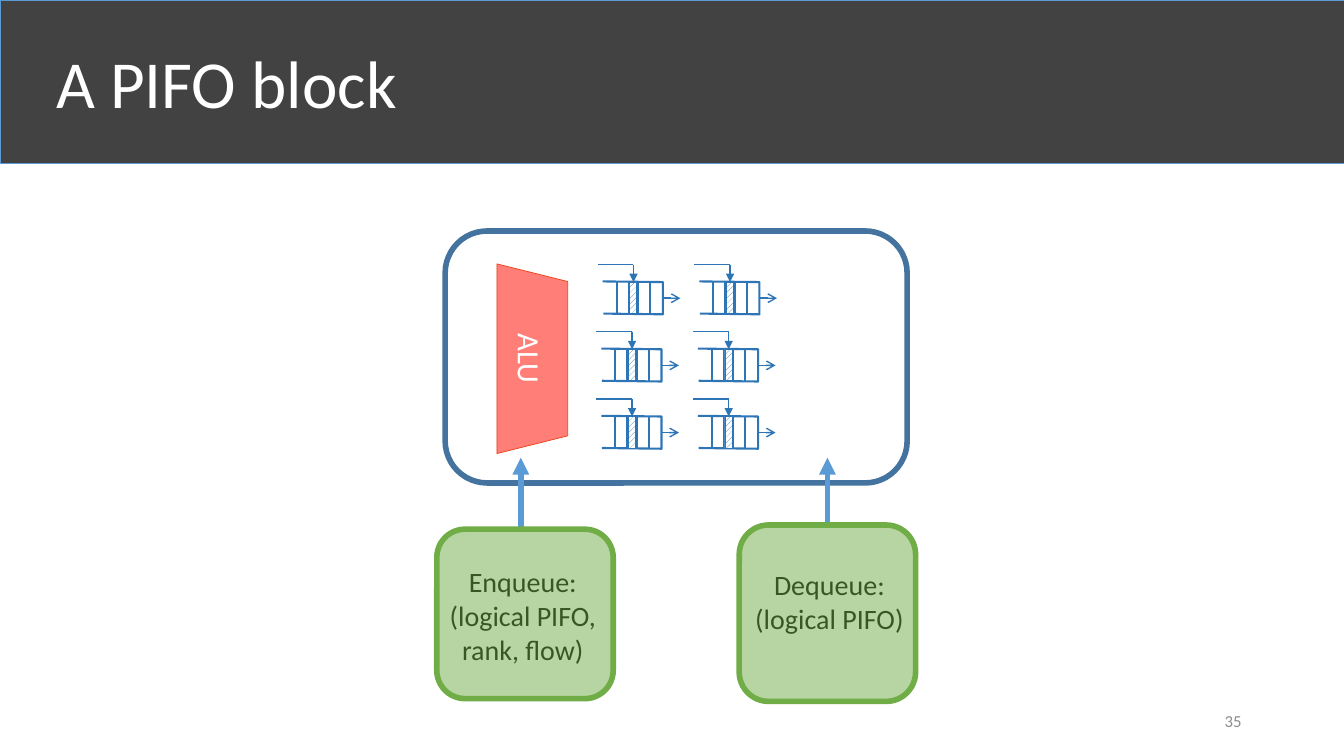
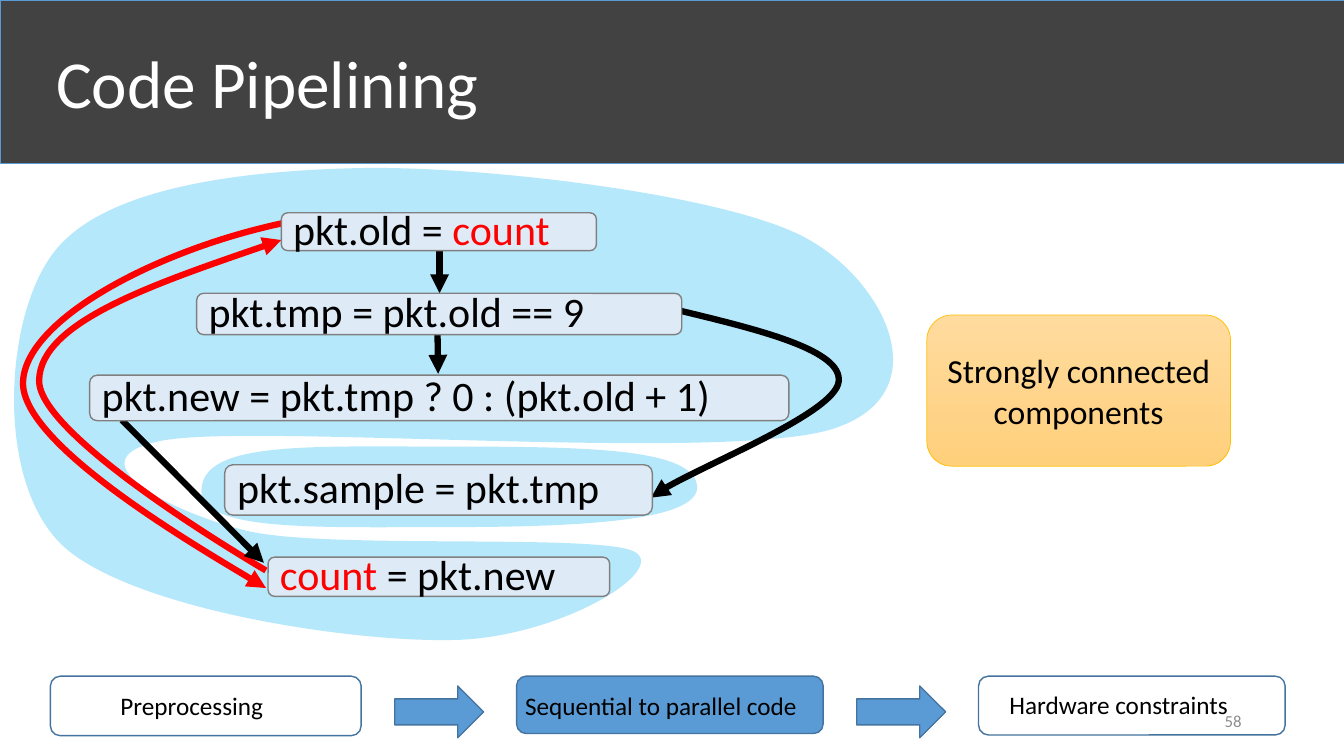
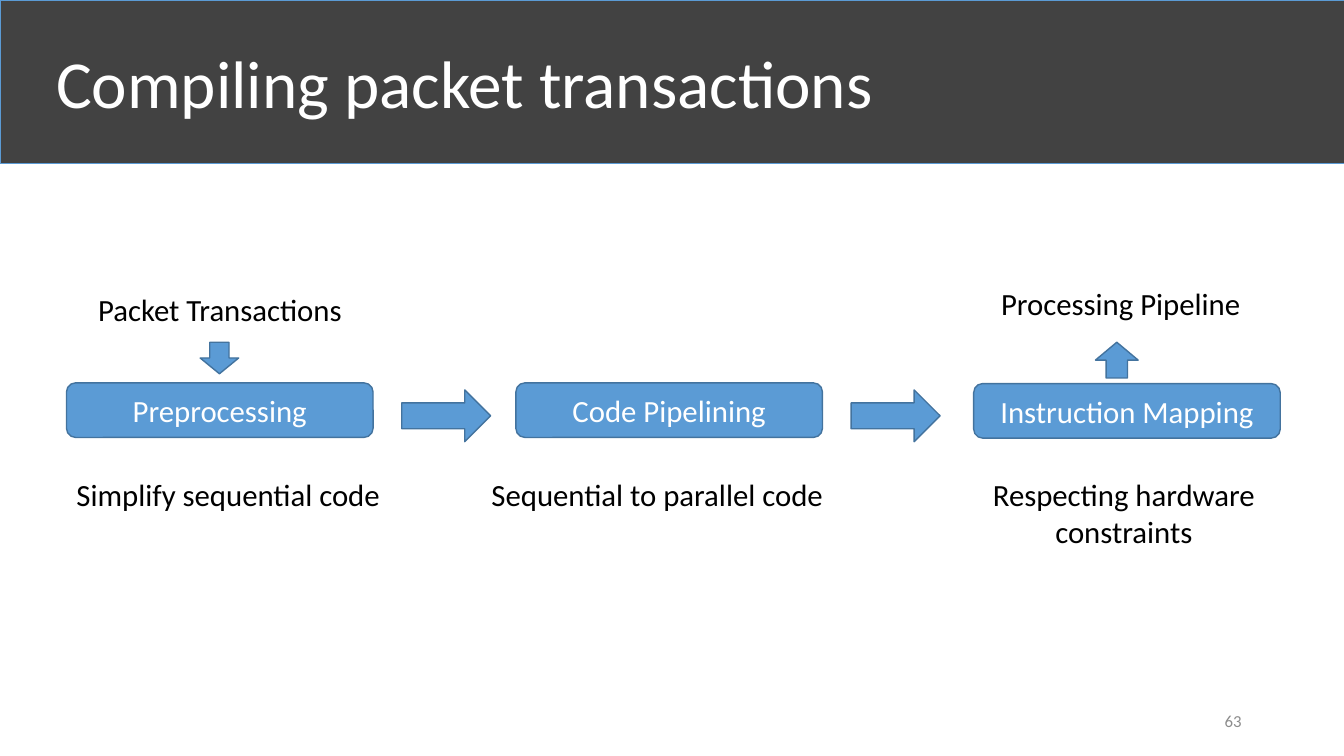
from lxml import etree
from pptx import Presentation
from pptx import util as u
from pptx.dml.color import RGBColor
from pptx.enum import dml, shapes, text
from pptx.oxml.ns import qn

FONT = "Calibri"
BLACK, WHITE, RED = "000000", "FFFFFF", "FF0000"
BAND, PAGE_GREY = "424242", "8C8C8C"
BLUE, BLUE_EDGE, QUEUE_BLUE, SKY = "5B9BD5", "43739E", "2E75B6", "00B0F0"
GREEN, CODE_FILL, CODE_EDGE = "70AD47", "DEEBF7", "808080"
SHAPE = shapes.MSO_SHAPE
ALIGN, ANCHOR = text.PP_ALIGN, text.MSO_ANCHOR


def rgb(color):
    return RGBColor.from_string(color)


def write(sp, *paragraphs, size=18, color=BLACK, align=ALIGN.LEFT,
          anchor=ANCHOR.MIDDLE, spacing=None):
    """Fill a shape; a paragraph is a string or a list of (text, colour) runs."""
    tf = sp.text_frame
    tf.word_wrap = True
    tf.vertical_anchor = anchor
    for i, runs in enumerate(paragraphs):
        p = tf.add_paragraph() if i else tf.paragraphs[0]
        p.alignment = align
        if spacing:
            p.line_spacing = spacing
        for words, run_color in [(runs, color)] if isinstance(runs, str) else runs:
            r = p.add_run()
            r.text = words
            r.font.name = FONT
            r.font.size = u.Pt(size)
            r.font.color.rgb = rgb(run_color)


def add_label(s, box, *paragraphs, **fmt):
    sp = s.shapes.add_textbox(*map(u.Pt, box))
    write(sp, *paragraphs, **{"anchor": ANCHOR.TOP, **fmt})
    return sp


def paint(sp, fill=None, line=None, width=1, alpha=None):
    sp.shadow.inherit = False
    if fill:
        sp.fill.solid()
        sp.fill.fore_color.rgb = rgb(fill)
        if alpha:
            clr = sp.fill._xPr.find(".//" + qn("a:srgbClr"))
            etree.SubElement(clr, qn("a:alpha")).set("val", str(alpha * 1000))
    else:
        sp.fill.background()
    if line:
        sp.line.color.rgb = rgb(line)
        sp.line.width = u.Pt(width)
    else:
        sp.line.fill.background()


def add_box(s, kind, box, **style):
    sp = s.shapes.add_shape(kind, *map(u.Pt, box))
    paint(sp, **style)
    return sp


def add_arrowhead(sp, head):
    ln = sp.line._get_or_add_ln()
    etree.SubElement(ln, qn("a:tailEnd")).set("type", head)


def add_line(s, start, end, color, width, head=None):
    c = s.shapes.add_connector(shapes.MSO_CONNECTOR.STRAIGHT,
                               *map(u.Pt, (*start, *end)))
    c.line.color.rgb = rgb(color)
    c.line.width = u.Pt(width)
    etree.SubElement(c._element.spPr, qn("a:effectLst"))
    if head:
        add_arrowhead(c, head)


def add_outline(s, points, close=False, **style):
    (x, y), *rest = [(u.Pt(px), u.Pt(py)) for px, py in points]
    builder = s.shapes.build_freeform(x, y)
    builder.add_line_segments(rest, close=close)
    sp = builder.convert_to_shape()
    paint(sp, **style)
    return sp


def add_curve(s, points, head=None, **style):
    """Draw cubic curves: a start, then two control points and an end each."""
    sp = add_outline(s, points, **style)
    segments = list(sp._element.iter(qn("a:lnTo")))
    for first, second, third in zip(*[iter(segments)] * 3):
        first.tag = qn("a:cubicBezTo")
        for segment in (second, third):
            first.append(segment[0])
            segment.getparent().remove(segment)
    if head:
        add_arrowhead(sp, head)


def add_slide(prs, title, number):
    s = prs.slides.add_slide(prs.slide_layouts[6])
    add_box(s, SHAPE.RECTANGLE, (0, 0, 960, 117), fill=BAND, line=BLUE, width=0.5)
    add_label(s, (33, 9.5, 828, 104.5), title, size=48, color=WHITE,
              anchor=ANCHOR.MIDDLE, spacing=0.9)
    return s, lambda: add_label(s, (678, 500.5, 216, 28.5), str(number), size=12,
                                color=PAGE_GREY, align=ALIGN.RIGHT,
                                anchor=ANCHOR.MIDDLE)


def add_queue(s, x, y):
    """Draw a queue with an insertion arrow above and an exit arrow at right."""
    add_outline(s, [(x, y), (x + 43, y + 0.5), (x + 43, y + 23.5), (x + 0.5, y + 23)],
                line=QUEUE_BLUE, width=1.5)
    for dx in (10, 18.7, 25.2, 33.8):
        add_line(s, (x + dx, y), (x + dx, y + 23.5), QUEUE_BLUE, 1.5)
    slot = add_box(s, SHAPE.RECTANGLE, (x + 19.4, y + 0.5, 5, 22.5),
                   line=QUEUE_BLUE, width=0.5)
    slot.fill.patterned()
    slot.fill.pattern = dml.MSO_PATTERN.WIDE_UPWARD_DIAGONAL
    slot.fill.fore_color.rgb = rgb(QUEUE_BLUE)
    slot.fill.back_color.rgb = rgb(WHITE)
    add_line(s, (x + 22, y - 12), (x - 3.6, y - 12), QUEUE_BLUE, 1)
    add_line(s, (x + 22, y - 12), (x + 22, y + 0.5), QUEUE_BLUE, 1, "triangle")
    add_line(s, (x + 43, y + 12), (x + 55.5, y + 12), QUEUE_BLUE, 1, "arrow")


def pifo_slide(prs):
    s, add_number = add_slide(prs, "A PIFO block", 35)
    add_box(s, SHAPE.ROUNDED_RECTANGLE, (318, 165, 330, 180), line=BLUE_EDGE, width=4)
    operations = [
        (372, (303, 400, 141, 80), (312, 378, 126, 121),
         ("Enqueue:", "(logical PIFO,", "rank, flow)")),
        (591, (522, 402, 141, 56), (528, 375, 126, 126),
         ("Dequeue:", "(logical PIFO)")),
    ]
    for x, label, box, lines in operations:
        add_line(s, (x, box[1]), (x, 327), BLUE, 4, "triangle")
        add_label(s, label, *lines, size=20, align=ALIGN.CENTER)
        add_box(s, SHAPE.ROUNDED_RECTANGLE, box, fill=GREEN, alpha=50,
                line=GREEN, width=4)
    for col in range(2):
        for row in range(3):
            add_queue(s, 430.5 + 69 * col - (row > 0), 201 + 48 * row)
    alu = add_box(s, SHAPE.TRAPEZOID, (312.5, 231, 135.5, 50.5), fill="FF7E77",
                  line="EC4016", width=0.5)
    alu.rotation = 90
    write(alu, "ALU", size=22, color=WHITE, align=ALIGN.CENTER)
    add_number()


def add_components(s):
    sample = [(144, 348), (148, 315), (223, 319), (321, 319), (419, 319), (497, 320),
              (498, 348), (498, 371.5), (419, 376.5), (321, 376.5), (223, 376.5),
              (140, 380), (144, 348)]
    counter = [(39.5, 179), (75.5, 134), (171.5, 121.5), (261.5, 120), (350.5, 119),
               (521, 139.5), (576.5, 170.5), (633, 201.5), (672, 282), (594.5, 306.5),
               (518.5, 330.5), (186.5, 302.5), (117.5, 314.5), (47.5, 327),
               (121.5, 366.5), (178, 379.5), (234, 392.5), (427.5, 381), (453, 394),
               (478, 407), (403, 453.5), (329, 457), (254, 460), (92, 435), (44, 389),
               (-4, 342.5), (3, 224), (39.5, 179)]
    for points in (sample, counter):
        add_curve(s, points, close=True, fill=SKY, alpha=29)


def add_stages(s):
    stages = [
        ((36, 483, 222, 42.5), None, (79, 489.5, 127, 29), "Preprocessing"),
        ((369, 483, 219, 41), BLUE, (368, 489.5, 235.5, 29),
         "Sequential to parallel code"),
        ((699, 483, 219, 42), None, (714, 489, 184, 29), "Hardware constraints"),
    ]
    for box, fill, label, words in stages:
        add_box(s, SHAPE.ROUNDED_RECTANGLE, box, fill=fill, line=BLUE_EDGE)
        add_label(s, label, words)
    for x in (282, 612):
        add_box(s, SHAPE.RIGHT_ARROW, (x, 490, 63.5, 37), fill=BLUE, line=BLUE_EDGE)


def add_dependencies(s):
    read_back = [(190, 407.5), (190, 407.5), (26.5, 312.5), (28, 271.5), (29, 230.5),
                 (115, 201), (201, 171.5)]
    write_back = [(204, 159), (113, 178), (18, 228), (16.5, 273), (15, 318),
                  (190, 420), (190, 420)]
    sampling = [(486, 222), (544, 236), (602.5, 250.5), (599, 273), (595.5, 295),
                (481.5, 340.5), (465, 355.5)]
    for points, color in ((read_back, RED), (write_back, RED), (sampling, BLACK)):
        add_curve(s, points, head="triangle", line=color, width=4.5)
    for start, end in (((314, 179), (314, 209.5)), ((312.5, 237), (313, 267)),
                       ((87, 300), (188.5, 402))):
        add_line(s, start, end, BLACK, 4.5, "triangle")


def pipelining_slide(prs):
    s, add_number = add_slide(prs, "Code Pipelining", 58)
    add_components(s)
    add_stages(s)
    note = add_box(s, SHAPE.ROUNDED_RECTANGLE, (662, 225, 217, 108), line="FFC000",
                   width=0.5)
    note.fill.gradient()
    note.fill.gradient_angle = 270
    for stop, color in zip(note.fill.gradient_stops, ("FFDB9E", "FFD07C")):
        stop.color.rgb = rgb(color)
    write(note, "Strongly connected components", size=24, align=ALIGN.CENTER)
    add_dependencies(s)
    statements = [
        ((201, 152, 225, 27), [("pkt.old = ", BLACK), ("count", RED)]),
        ((140.5, 209.5, 346.5, 29.5), "pkt.tmp = pkt.old == 9"),
        ((64, 268, 499.5, 32.5), "pkt.new = pkt.tmp ? 0 : (pkt.old + 1)"),
        ((160.5, 332, 305.5, 36), "pkt.sample = pkt.tmp"),
        ((191.5, 398, 244, 28), [("count", RED), (" = pkt.new", BLACK)]),
    ]
    for box, code in statements:
        sp = add_box(s, SHAPE.ROUNDED_RECTANGLE, box, fill=CODE_FILL, line=CODE_EDGE)
        write(sp, code, size=30, spacing=0.9)
    add_number()


def compiling_slide(prs):
    s, add_number = add_slide(prs, "Compiling packet transactions", 63)
    for x, y, name in ((47.5, 273.5, "Preprocessing"), (368.5, 273.5, "Code Pipelining"),
                       (695.5, 274, "Instruction Mapping")):
        sp = add_box(s, SHAPE.ROUNDED_RECTANGLE, (x, y, 219, 39), fill=BLUE,
                     line=BLUE_EDGE)
        write(sp, name, size=22, color=WHITE, align=ALIGN.CENTER)
    for kind, box in ((SHAPE.DOWN_ARROW, (143, 244.5, 27.5, 22.5)),
                      (SHAPE.RIGHT_ARROW, (287, 278.5, 63.5, 37)),
                      (SHAPE.RIGHT_ARROW, (608, 278.5, 63.5, 37)),
                      (SHAPE.UP_ARROW, (782.5, 244.5, 30.5, 25.5))):
        add_box(s, kind, box, fill=BLUE, line=BLUE_EDGE)
    for box, words, align in (
            ((63, 204, 243, 34), "Packet Transactions", ALIGN.LEFT),
            ((708, 200, 240, 34), "Processing Pipeline", ALIGN.LEFT),
            ((47.5, 336, 245, 34), "Simplify sequential code", ALIGN.LEFT),
            ((344, 336, 280, 34), "Sequential to parallel code", ALIGN.LEFT),
            ((675, 336, 255.5, 60.5), "Respecting hardware constraints", ALIGN.CENTER)):
        add_label(s, box, words, size=22, align=align)
    add_number()


def main():
    prs = Presentation()
    prs.slide_width, prs.slide_height = u.Pt(960), u.Pt(540)
    pifo_slide(prs)
    pipelining_slide(prs)
    compiling_slide(prs)
    prs.save("out.pptx")


if __name__ == "__main__":
    main()
